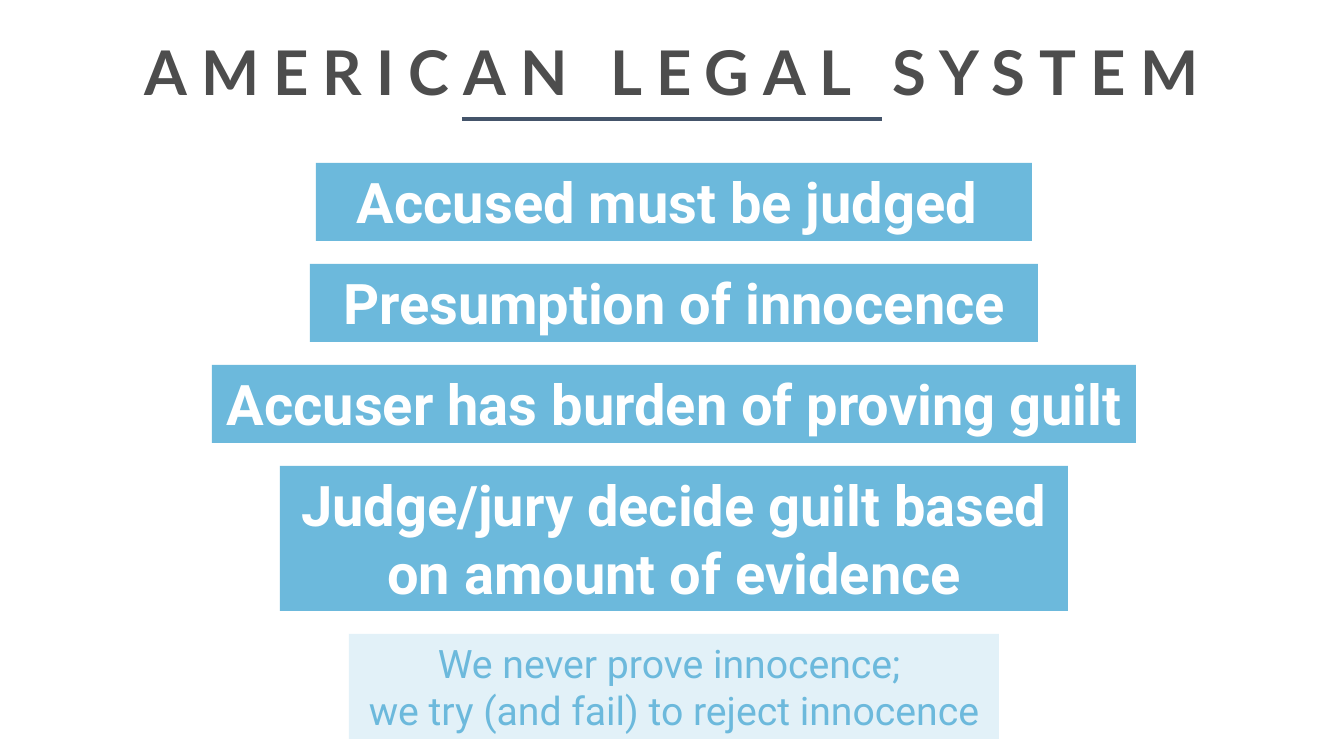
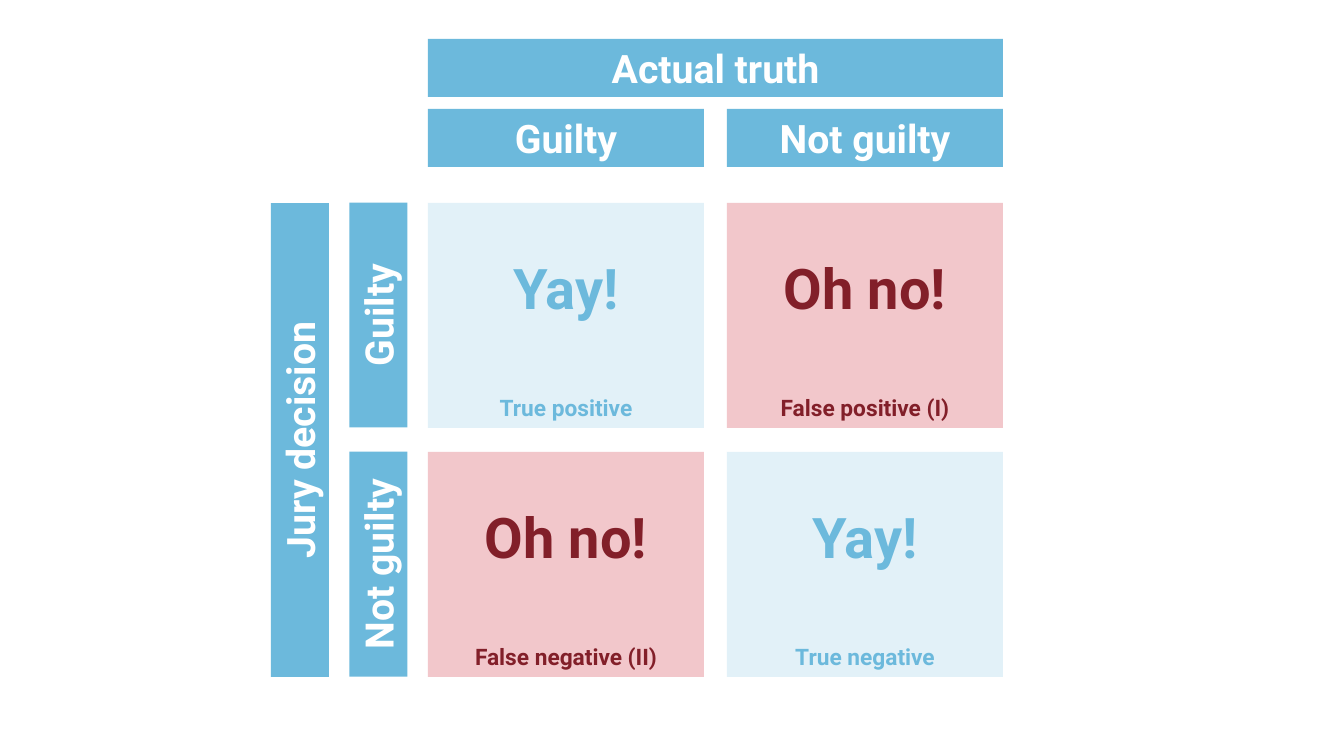
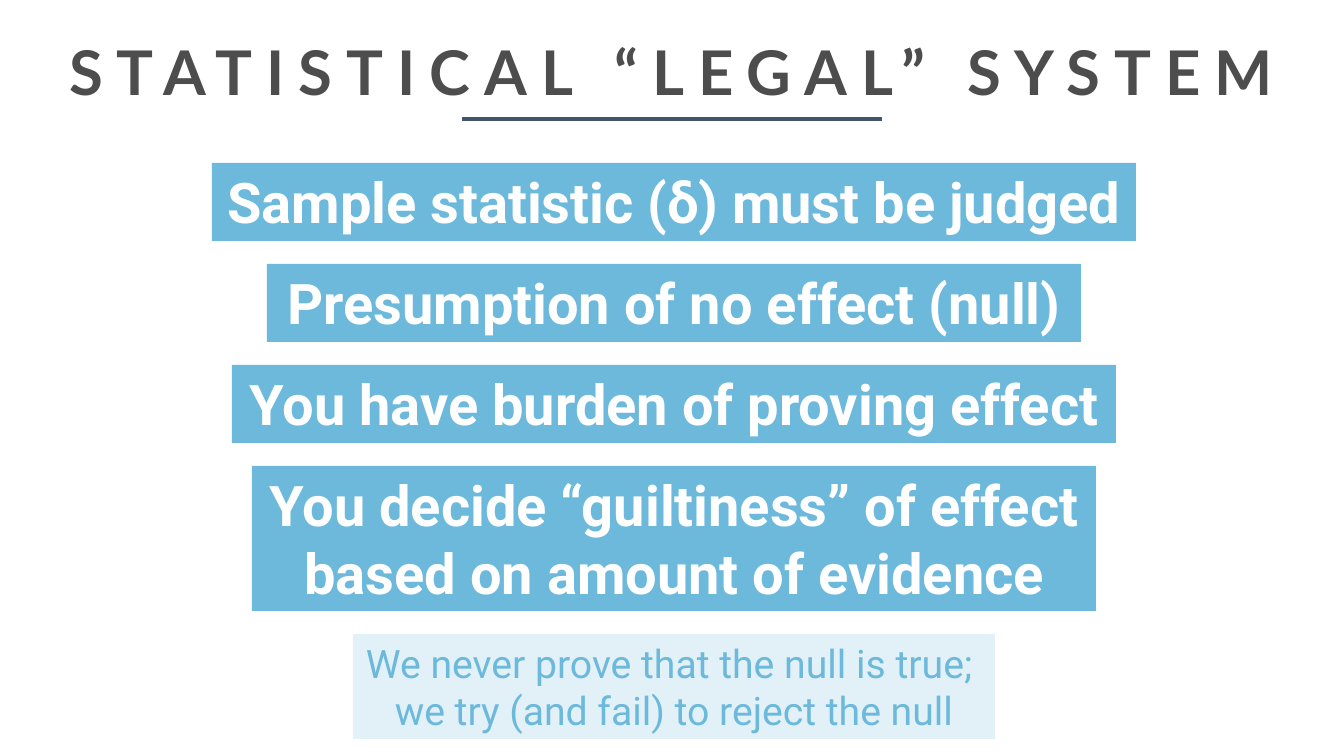
from dataclasses import dataclass

from lxml.etree import SubElement
from pptx import Presentation
from pptx.dml.color import RGBColor
from pptx.enum.shapes import MSO_CONNECTOR, MSO_SHAPE
from pptx.enum.text import MSO_ANCHOR, PP_ALIGN
from pptx.oxml.ns import qn
from pptx.shapes.autoshape import Shape
from pptx.slide import Slide
from pptx.util import Emu, Pt

SLIDE_WIDTH = 1344
SLIDE_HEIGHT = 756
EMU_PER_PX = 12192000 / SLIDE_WIDTH

WHITE = RGBColor(0xFF, 0xFF, 0xFF)
CHARCOAL = RGBColor(0x4D, 0x4D, 0x4D)
NAVY = RGBColor(0x44, 0x54, 0x6A)
BLUE = RGBColor(0x6C, 0xB9, 0xDC)
PALE_BLUE = RGBColor(0xE2, 0xF1, 0xF8)
PINK = RGBColor(0xF2, 0xC7, 0xCB)
DARK_RED = RGBColor(0x82, 0x1F, 0x29)

CLAIM_CENTER = 674
CLAIM_TOP = 163
CLAIM_GAP = 23
LINE_HEIGHTS = {1: 78, 2: 145}
NOTE_HEIGHT = 105

COLUMN_LEFTS = (428, 727)
ROW_TOPS = (203, 452)
CELL_WIDTH = 276
CELL_HEIGHT = 225
HEADER_THICKNESS = 58
TRUTH_TOP, VERDICT_TOP = 39, 109
JURY_LEFT, DECISION_LEFT = 271, 349
VERDICTS = ("Guilty", "Not guilty")


@dataclass(frozen=True)
class Box:
    left: int
    top: int
    width: int
    height: int


@dataclass(frozen=True)
class TextStyle:
    size: int
    color: RGBColor
    bold: bool = True
    font: str = "Roboto"


@dataclass(frozen=True)
class Claim:
    text: str
    width: int
    lines: int = 1


@dataclass(frozen=True)
class LegalSystem:
    title: str
    claims: tuple[Claim, ...]
    note: Claim


@dataclass(frozen=True)
class Outcome:
    row: int
    column: int
    label: str
    correct: bool


TITLE_STYLE = TextStyle(44, CHARCOAL, font="Lato")
CLAIM_STYLE = TextStyle(40, WHITE)
NOTE_STYLE = TextStyle(28, BLUE, bold=False)
HEADER_STYLE = TextStyle(28, WHITE)

AMERICAN = LegalSystem(
    "AMERICAN LEGAL SYSTEM",
    (
        Claim("Accused must be judged ", 716),
        Claim("Presumption of innocence", 728),
        Claim("Accuser has burden of proving guilt", 924),
        Claim("Judge/jury decide guilt based on amount of evidence", 788, 2),
    ),
    Claim("We never prove innocence; \nwe try (and fail) to reject innocence", 650),
)
STATISTICAL = LegalSystem(
    "STATISTICAL “LEGAL” SYSTEM",
    (
        Claim("Sample statistic (δ) must be judged", 924),
        Claim("Presumption of no effect (null)", 814),
        Claim("You have burden of proving effect", 884),
        Claim("You decide “guiltiness” of effect based on amount of evidence", 844, 2),
    ),
    Claim("We never prove that the null is true; \nwe try (and fail) to reject the null", 642),
)
OUTCOMES = (
    Outcome(0, 0, "True positive", True),
    Outcome(0, 1, "False positive (I)", False),
    Outcome(1, 0, "False negative (II)", False),
    Outcome(1, 1, "True negative", True),
)


def px(length: float) -> Emu:
    return Emu(round(length * EMU_PER_PX))


def place(box: Box) -> tuple[Emu, Emu, Emu, Emu]:
    return px(box.left), px(box.top), px(box.width), px(box.height)


def write(paragraph, text: str, style: TextStyle) -> None:
    paragraph.text = text
    paragraph.alignment = PP_ALIGN.CENTER
    paragraph.font.name = style.font
    paragraph.font.size = Pt(style.size)
    paragraph.font.bold = style.bold
    paragraph.font.color.rgb = style.color


def set_run_attribute(paragraph, name: str, value: int) -> None:
    for run in paragraph.runs:
        run._r.get_or_add_rPr().set(name, str(value))


def add_panel(slide: Slide, box: Box, fill: RGBColor, text: str, style: TextStyle) -> Shape:
    panel = slide.shapes.add_shape(MSO_SHAPE.RECTANGLE, *place(box))
    panel.shadow.inherit = False
    panel.fill.solid()
    panel.fill.fore_color.rgb = fill
    panel.line.fill.background()
    frame = panel.text_frame
    frame.word_wrap = True
    frame.vertical_anchor = MSO_ANCHOR.TOP
    write(frame.paragraphs[0], text, style)
    return panel


def add_side_header(slide: Slide, box: Box, text: str) -> None:
    shift = (box.height - box.width) // 2
    lying = Box(box.left - shift, box.top + shift, box.height, box.width)
    add_panel(slide, lying, BLUE, text, HEADER_STYLE).rotation = 270


def add_title(slide: Slide, text: str) -> None:
    heading = slide.shapes.add_textbox(*place(Box(0, 17, SLIDE_WIDTH, 101)))
    frame = heading.text_frame
    frame.word_wrap = True
    frame.vertical_anchor = MSO_ANCHOR.MIDDLE
    paragraph = frame.paragraphs[0]
    write(paragraph, text, TITLE_STYLE)
    paragraph.line_spacing = 1.1
    set_run_attribute(paragraph, "spc", 1000)

    rule = slide.shapes.add_connector(MSO_CONNECTOR.STRAIGHT, px(462), px(119), px(882), px(119))
    rule.line.color.rgb = NAVY
    rule.line.width = Pt(3)
    SubElement(rule._element.spPr, qn("a:effectLst"))


def draw_legal_system(slide: Slide, system: LegalSystem) -> None:
    add_title(slide, system.title)
    rows = [(claim, LINE_HEIGHTS[claim.lines], BLUE, CLAIM_STYLE) for claim in system.claims]
    rows.append((system.note, NOTE_HEIGHT, PALE_BLUE, NOTE_STYLE))
    top = CLAIM_TOP
    for claim, height, fill, style in rows:
        box = Box(CLAIM_CENTER - claim.width // 2, top, claim.width, height)
        add_panel(slide, box, fill, claim.text, style)
        top += height + CLAIM_GAP


def draw_outcome(slide: Slide, outcome: Outcome) -> None:
    exclamation, fill, color = (
        ("Yay!", PALE_BLUE, BLUE) if outcome.correct else ("Oh no!", PINK, DARK_RED)
    )
    box = Box(COLUMN_LEFTS[outcome.column], ROW_TOPS[outcome.row], CELL_WIDTH, CELL_HEIGHT)
    cell = add_panel(slide, box, fill, exclamation, TextStyle(40, color))
    cell.text_frame.margin_top = px(51)
    label = cell.text_frame.add_paragraph()
    write(label, outcome.label, TextStyle(28, color))
    label.space_before = Pt(33)
    set_run_attribute(label, "baseline", -25000)


def draw_verdict_matrix(slide: Slide) -> None:
    matrix_width = COLUMN_LEFTS[-1] + CELL_WIDTH - COLUMN_LEFTS[0]
    matrix_height = ROW_TOPS[-1] + CELL_HEIGHT - ROW_TOPS[0]
    truth = Box(COLUMN_LEFTS[0], TRUTH_TOP, matrix_width, HEADER_THICKNESS)
    add_panel(slide, truth, BLUE, "Actual truth", HEADER_STYLE)
    jury = Box(JURY_LEFT, ROW_TOPS[0], HEADER_THICKNESS, matrix_height)
    add_side_header(slide, jury, "Jury decision")
    for verdict, left, top in zip(VERDICTS, COLUMN_LEFTS, ROW_TOPS):
        column = Box(left, VERDICT_TOP, CELL_WIDTH, HEADER_THICKNESS)
        add_panel(slide, column, BLUE, verdict, HEADER_STYLE)
        row = Box(DECISION_LEFT, top, HEADER_THICKNESS, CELL_HEIGHT)
        add_side_header(slide, row, verdict)
    for outcome in OUTCOMES:
        draw_outcome(slide, outcome)


def main() -> None:
    deck = Presentation()
    deck.slide_width = px(SLIDE_WIDTH)
    deck.slide_height = px(SLIDE_HEIGHT)
    blank = deck.slide_layouts[6]
    draw_legal_system(deck.slides.add_slide(blank), AMERICAN)
    draw_verdict_matrix(deck.slides.add_slide(blank))
    draw_legal_system(deck.slides.add_slide(blank), STATISTICAL)
    deck.save("out.pptx")


if __name__ == "__main__":
    main()
